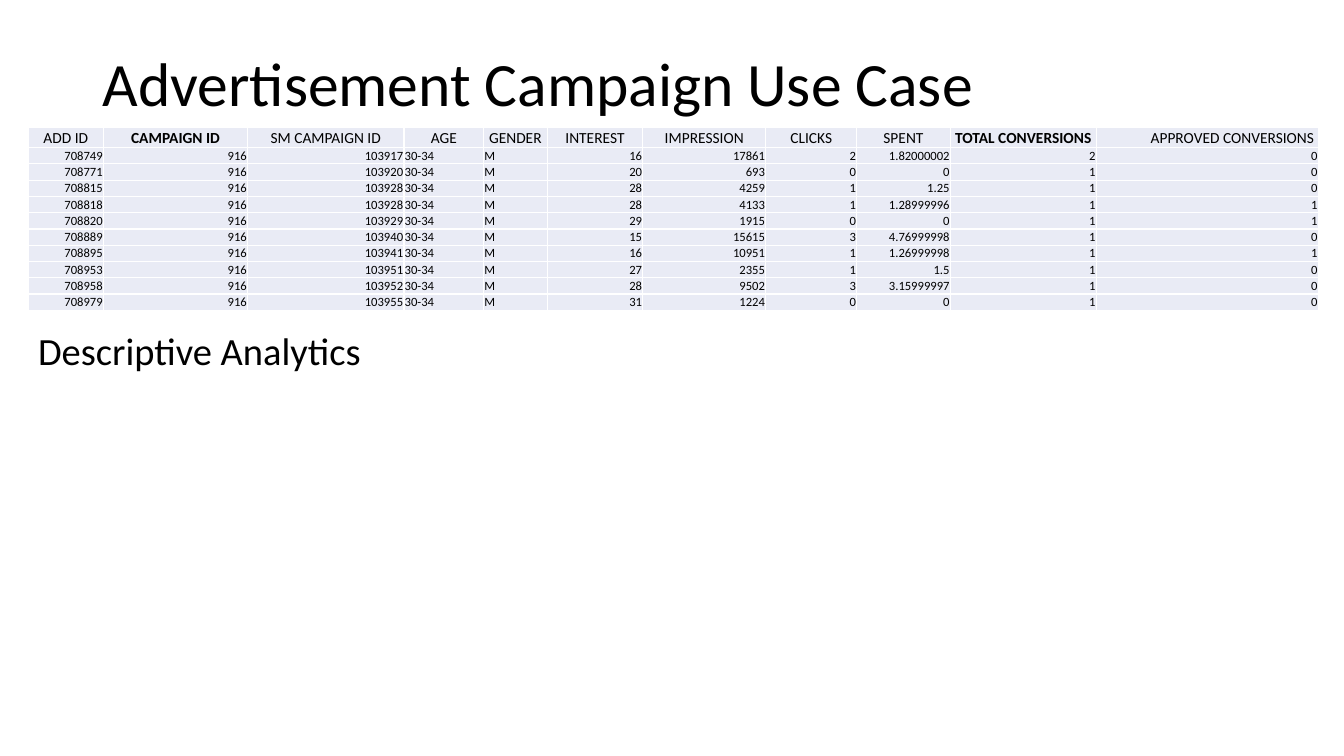
from pptx import Presentation
from pptx.dml.color import RGBColor
from pptx.enum.text import MSO_ANCHOR as Anchor, MSO_AUTO_SIZE as AutoSize, PP_ALIGN as Align
from pptx.oxml import parse_xml
from pptx.oxml.ns import nsdecls
from pptx.util import Cm, Pt


def color(code):
    return RGBColor.from_string(code)


def write(para, text, size, bold=False):
    span = para.add_run()
    span.text = text
    span.font.name = "Calibri"
    span.font.size = Pt(size)
    span.font.bold = bold
    span.font.color.rgb = color("000000")


deck = Presentation()
deck.slide_width, deck.slide_height = Cm(33.87), Cm(19.05)
page = deck.slides.add_slide(deck.slide_layouts[5])

title = page.shapes.title
title.left, title.top, title.width, title.height = Cm(2.33), Cm(1.02), Cm(29.21), Cm(2.34)
subtitle = page.shapes.add_textbox(Cm(0.71), Cm(8.36), Cm(29.21), Cm(1.22))
for box, text, size, spacing in [
    (title, "Advertisement Campaign Use Case", 44, 0.9),
    (subtitle, "Descriptive Analytics", 27.5, 0.7),
]:
    frame = box.text_frame
    frame.word_wrap = True
    frame.auto_size = AutoSize.NONE
    frame.vertical_anchor = Anchor.MIDDLE
    para = frame.paragraphs[0]
    para.alignment = Align.LEFT
    para.line_spacing = spacing
    write(para, text, size)

headers = ["ADD ID", "CAMPAIGN ID", "SM CAMPAIGN ID", "AGE", "GENDER", "INTEREST",
           "IMPRESSION", "CLICKS", "SPENT", "TOTAL CONVERSIONS", "APPROVED CONVERSIONS"]
bold_headers = {"CAMPAIGN ID", "TOTAL CONVERSIONS"}
left_headers = {"AGE", "GENDER"}
widths = [1.9, 3.63, 3.94, 2.01, 1.6, 2.41, 3.1, 2.29, 2.36, 3.68, 5.59]
campaign, age, gender = "916", "30-34", "M"
ads = [
    ("708749", "103917", "16", "17861", "2", "1.82000002", "2", "0"),
    ("708771", "103920", "20", "693", "0", "0", "1", "0"),
    ("708815", "103928", "28", "4259", "1", "1.25", "1", "0"),
    ("708818", "103928", "28", "4133", "1", "1.28999996", "1", "1"),
    ("708820", "103929", "29", "1915", "0", "0", "1", "1"),
    ("708889", "103940", "15", "15615", "3", "4.76999998", "1", "0"),
    ("708895", "103941", "16", "10951", "1", "1.26999998", "1", "1"),
    ("708953", "103951", "27", "2355", "1", "1.5", "1", "0"),
    ("708958", "103952", "28", "9502", "3", "3.15999997", "1", "0"),
    ("708979", "103955", "31", "1224", "0", "0", "1", "0"),
]
rows = [headers]
for ad_id, source_id, *results in ads:
    rows.append([ad_id, campaign, source_id, age, gender, *results])

header_height, row_height = 0.52, 0.41
table_height = header_height + row_height * len(ads)
table = page.shapes.add_table(len(rows), len(headers), Cm(0.71), Cm(3.2),
                              Cm(sum(widths)), Cm(table_height)).table
table.horz_banding = False
table.first_row = False
for column, width in zip(table.columns, widths):
    column.width = Cm(width)

for row_index, values in enumerate(rows):
    is_header = row_index == 0
    table.rows[row_index].height = Cm(header_height if is_header else row_height)
    for column_index, (header, value) in enumerate(zip(headers, values)):
        cell = table.cell(row_index, column_index)
        cell.margin_left = cell.margin_right = cell.margin_top = Cm(0.02)
        cell.margin_bottom = 0
        cell.vertical_anchor = Anchor.BOTTOM if is_header else Anchor.TOP
        para = cell.text_frame.paragraphs[0]
        if is_header:
            para.alignment = Align.CENTER
            write(para, value, 11, header in bold_headers)
        else:
            para.alignment = Align.LEFT if header in left_headers else Align.RIGHT
            write(para, value, 9)
        properties = cell._tc.get_or_add_tcPr()
        for side in ("lnL", "lnR", "lnT", "lnB"):
            properties.append(parse_xml(
                f'<a:{side} {nsdecls("a")} w="{Pt(1)}"><a:solidFill>'
                f'<a:srgbClr val="FFFFFF"/></a:solidFill></a:{side}>'))
        cell.fill.solid()
        cell.fill.fore_color.rgb = color("E9EBF5")

last_header = table.cell(0, len(headers) - 1).text_frame.paragraphs[0]
last_header.level = 1
last_header._p.get_or_add_pPr().set("marL", str(Cm(1.27)))

deck.save("out.pptx")
